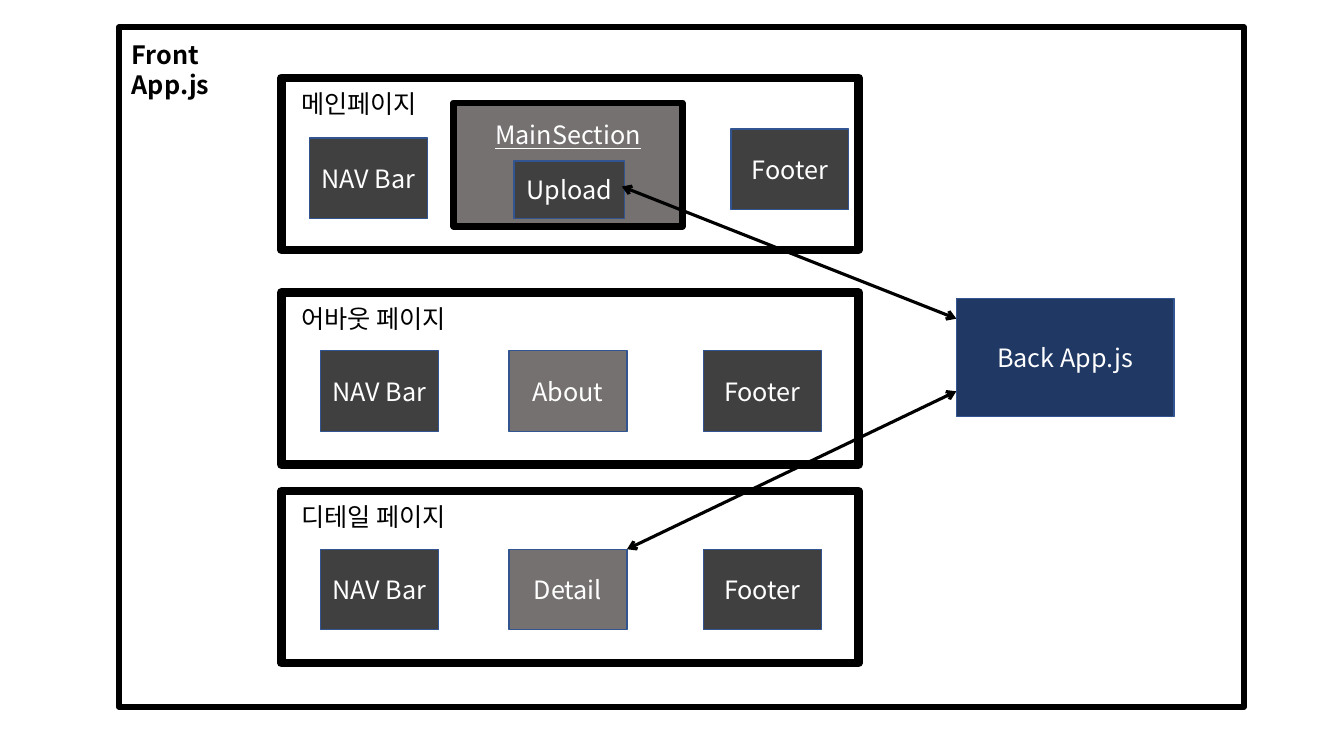
from lxml.etree import SubElement
from pptx import Presentation
from pptx.dml.color import RGBColor
from pptx.enum.shapes import MSO_CONNECTOR as Link, MSO_SHAPE as Kind
from pptx.enum.text import MSO_ANCHOR as Anchor, PP_ALIGN as Align
from pptx.oxml.ns import qn
from pptx.util import Cm, Pt

FONT = "Noto Sans CJK KR"
BLACK, WHITE = "000000", "FFFFFF"
DARK, GRAY, NAVY, EDGE = "404040", "767171", "203864", "325491"
BOX_W, BOX_H = 2.97, 2.03
PAGE_X, PAGE_W, PAGE_H = 7.09, 14.55, 4.34


def color(code):
    return RGBColor.from_string(code)


def style(frame, tint, align, bold=False, under=False):
    frame.word_wrap = True
    for para in frame.paragraphs:
        para.alignment = align
        for run in para.runs:
            font = run.font
            font.name, font.size = FONT, Pt(18)
            font.bold, font.underline = bold, under
            font.color.rgb = color(tint)
            # Hangul takes its font from the East Asian slot
            SubElement(font._element, qn("a:ea"), typeface=FONT)


def rect(slide, x, y, w, h, fill=None, line=EDGE, width=1):
    shape = slide.shapes.add_shape(Kind.RECTANGLE, Cm(x), Cm(y), Cm(w), Cm(h))
    shape.shadow.inherit = False
    if fill:
        shape.fill.solid()
        shape.fill.fore_color.rgb = color(fill)
    else:
        shape.fill.background()
    shape.line.color.rgb = color(line)
    shape.line.width = Pt(width)
    return shape


def box(slide, text, x, y, fill, w=BOX_W, h=BOX_H):
    frame = rect(slide, x, y, w, h, fill).text_frame
    frame.text = text
    frame.vertical_anchor = Anchor.MIDDLE
    style(frame, WHITE, Align.CENTER)


def label(slide, text, x, y, w, bold=False):
    frame = slide.shapes.add_textbox(Cm(x), Cm(y), Cm(w), Cm(1.02)).text_frame
    frame.text = text
    style(frame, BLACK, Align.LEFT, bold)


def page(slide, title, top):
    rect(slide, PAGE_X, top, PAGE_W, PAGE_H, line=BLACK, width=6)
    label(slide, title, PAGE_X + 0.25, top + 0.15, 5.2)


def section(slide, text, x, y, w, h):
    shape = rect(slide, x, y, w, h, GRAY, BLACK, 4.5)
    frame = shape.text_frame
    frame.text = text
    frame.vertical_anchor = Anchor.TOP
    frame.margin_top = Cm(0.42)
    style(frame, WHITE, Align.CENTER, under=True)


def arrow(slide, x1, y1, x2, y2):
    link = slide.shapes.add_connector(
        Link.STRAIGHT, Cm(x1), Cm(y1), Cm(x2), Cm(y2))
    link.line.color.rgb = color(BLACK)
    link.line.width = Pt(2.25)
    line = link.line._get_or_add_ln()
    for end in ("a:headEnd", "a:tailEnd"):
        SubElement(line, qn(end), type="arrow")
    SubElement(link._element.spPr, qn("a:effectLst"))


def main():
    deck = Presentation()
    deck.slide_width, deck.slide_height = Cm(33.87), Cm(19.05)
    slide = deck.slides.add_slide(deck.slide_layouts[6])

    # Front app frame
    rect(slide, 3, 0.69, 28.35, 17.12, line=BLACK, width=4.5)
    label(slide, "Front\vApp.js", 3.07, 0.86, 4.27, bold=True)

    # Main page
    page(slide, "메인페이지", 1.96)
    box(slide, "NAV Bar", 7.8, 3.48, DARK)
    box(slide, "Footer", 18.42, 3.25, DARK)
    section(slide, "MainSection", 11.43, 2.59, 5.77, 3.12)
    box(slide, "Upload", 12.95, 4.06, DARK, 2.79, 1.45)

    # About and detail pages share one row of boxes
    for title, body, top in (("어바웃 페이지", "About", 7.37),
                             ("디테일 페이지", "Detail", 12.37)):
        page(slide, title, top)
        for text, x, fill in (("NAV Bar", 8.08, DARK), (body, 12.83, GRAY),
                              ("Footer", 17.73, DARK)):
            box(slide, text, x, top + 1.47, fill)

    # Back app and its links
    arrow(slide, 15.8, 13.84, 24.1, 9.86)
    box(slide, "Back App.js", 24.1, 7.52, NAVY, 5.49, 2.97)
    arrow(slide, 15.67, 4.7, 24.1, 8.03)

    deck.save("out.pptx")


main()
